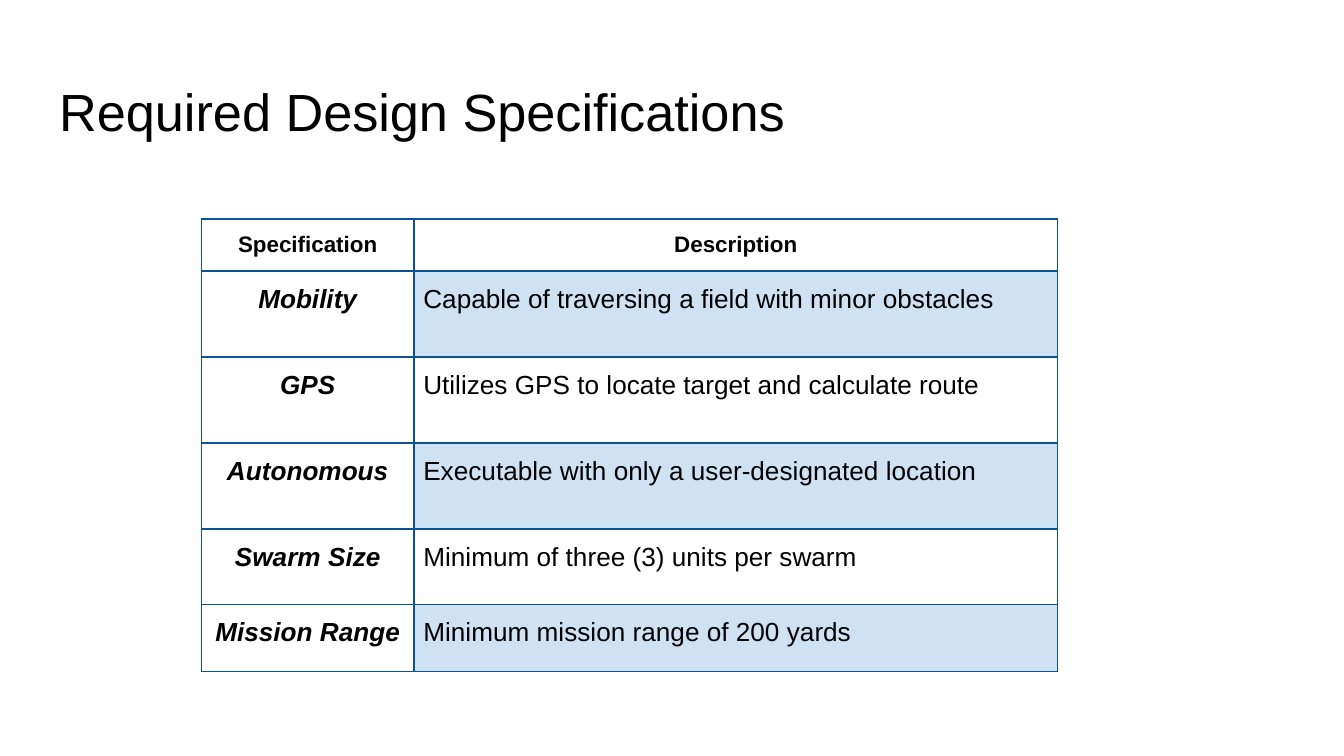
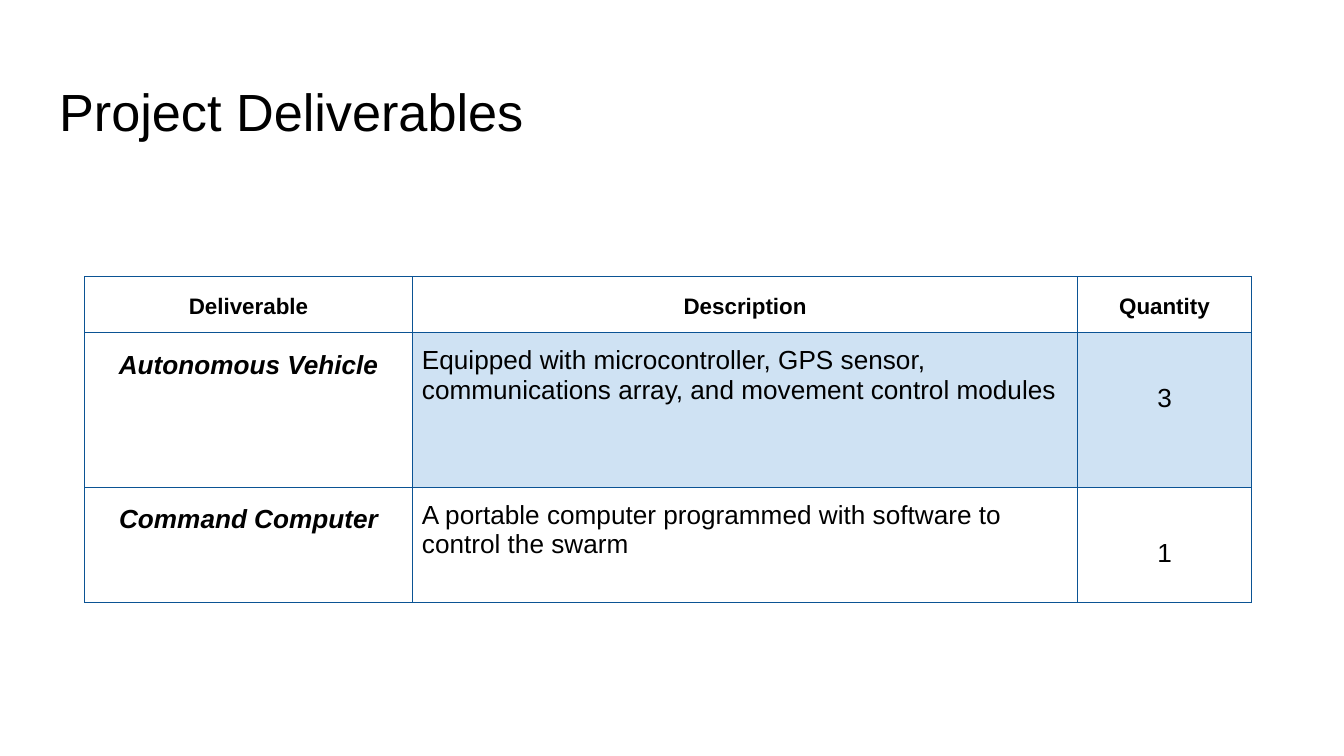
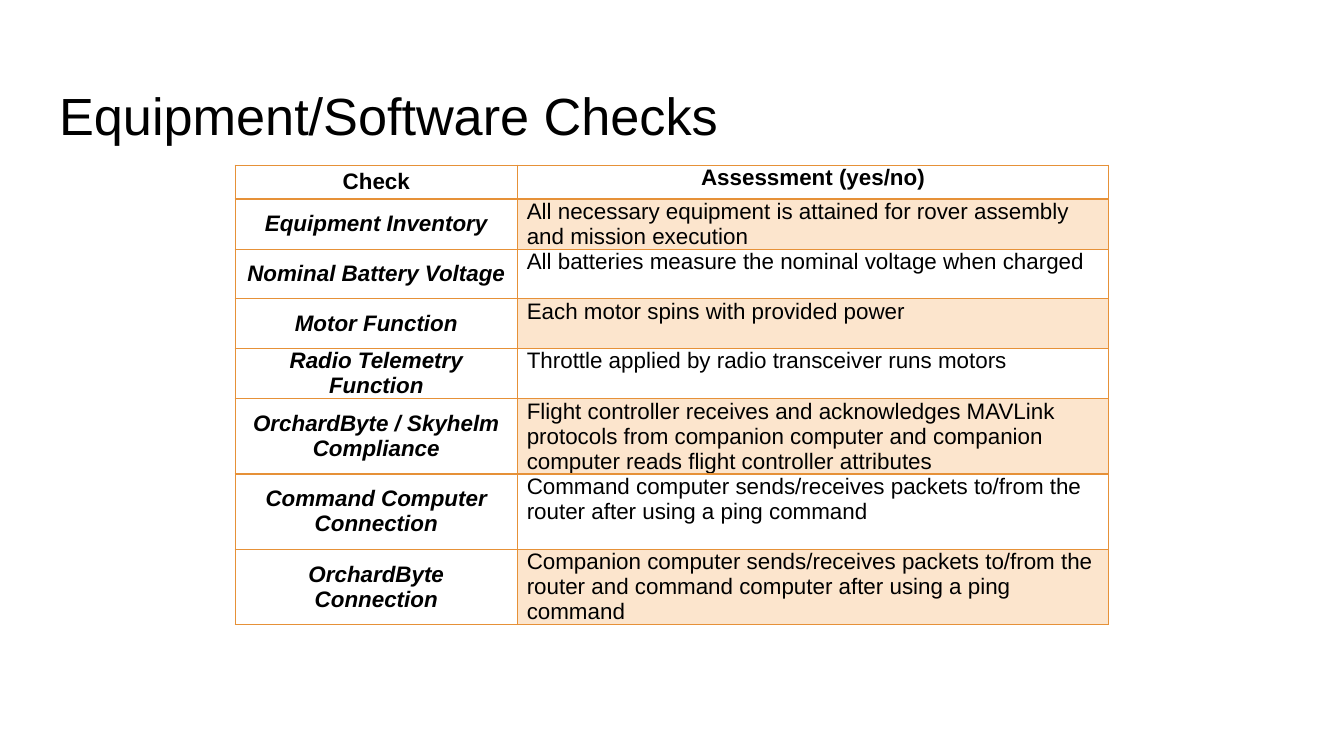
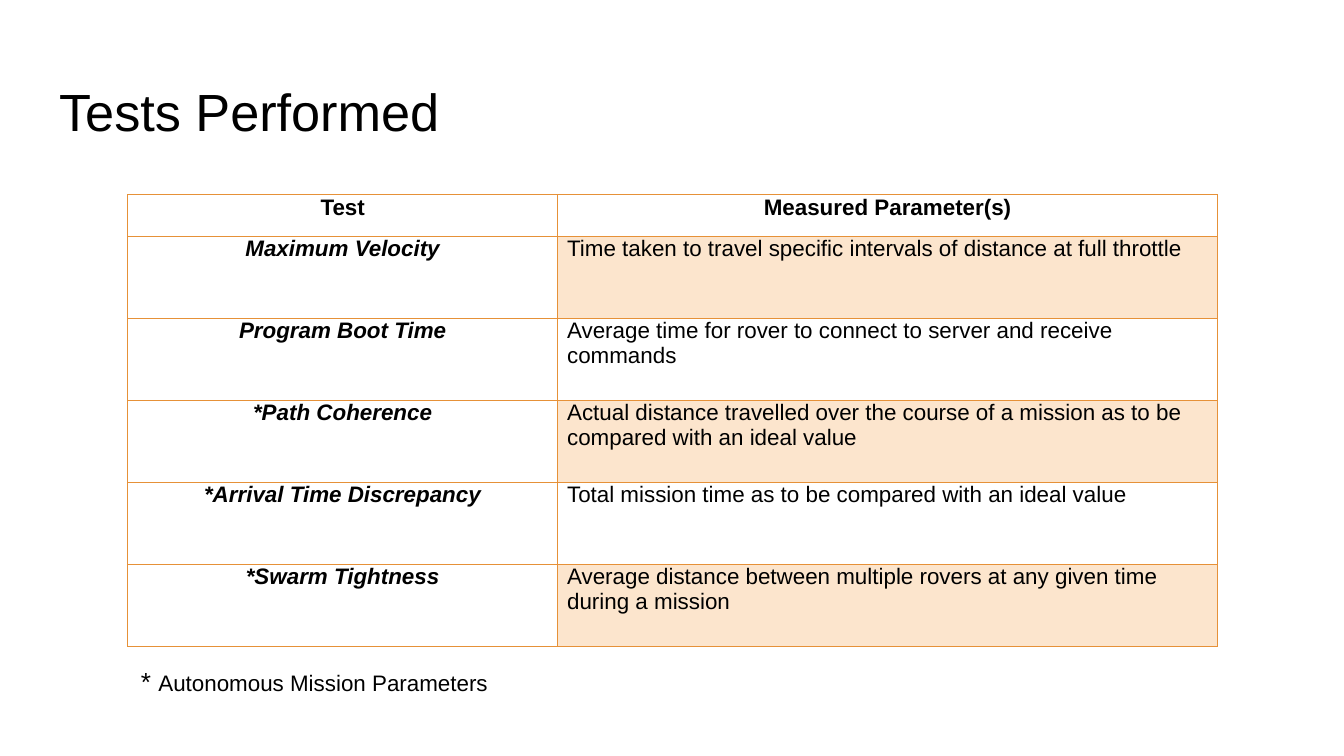
from dataclasses import dataclass
from typing import Any

from lxml.etree import SubElement as Sub
from pptx import Presentation
from pptx.dml.color import RGBColor as Rgb
from pptx.enum.text import MSO_ANCHOR as Anchor, MSO_AUTO_SIZE as Auto, PP_ALIGN as Align
from pptx.oxml.ns import qn
from pptx.util import Inches, Pt

COLORS = {
    "ink": "000000",
    "paper": "FFFFFF",
    "navy": "0B5394",
    "sky": "CFE2F3",
    "orange": "E69138",
    "peach": "FCE5CD",
}
FONT = "Arial"
WIDTH = Inches(10)
HEAD = {"size": Pt(12), "bold": True, "italic": False}


@dataclass
class Grid:
    """A table: its place, its measures and its look."""
    left: float
    top: float
    cols: list[float]
    heights: list[float]
    rows: list[tuple[str, ...]]
    line: str
    band: str
    size: int = 12
    pad: float = 0.0
    space: float = 1.0
    after: int = 0
    mid: bool = False


@dataclass
class Page:
    title: str
    grid: Grid
    top: float = 0.49
    note: str = ""


PAGES = [
    Page("Required Design Specifications", Grid(
        1.5, 1.63, [1.58, 4.79], [0.37, 0.64, 0.64, 0.64, 0.56, 0.5],
        [("Specification", "Description"),
         ("Mobility", "Capable of traversing a field with minor obstacles"),
         ("GPS", "Utilizes GPS to locate target and calculate route"),
         ("Autonomous", "Executable with only a user-designated location"),
         ("Swarm Size", "Minimum of three (3) units per swarm"),
         ("Mission Range", "Minimum mission range of 200 yards")],
        "navy", "sky", size=14, pad=0.1)),
    Page("Project Deliverables", Grid(
        0.63, 2.06, [2.44, 4.95, 1.29], [0.33, 1.15, 0.86],
        [("Deliverable", "Description", "Quantity"),
         ("Autonomous Vehicle",
          "Equipped with microcontroller, GPS sensor, communications array, "
          "and movement control modules", "3"),
         ("Command Computer",
          "A portable computer programmed with software to control the swarm", "1")],
        "navy", "sky", size=14, pad=0.1, space=1.15)),
    Page("Equipment/Software Checks", Grid(
        1.75, 1.23, [2.1, 4.4], [0.25] + [0.37] * 4 + [0.56] * 3,
        [("Check", "Assessment (yes/no)"),
         ("Equipment Inventory",
          "All necessary equipment is attained for rover assembly and mission execution"),
         ("Nominal Battery Voltage",
          "All batteries measure the nominal voltage when charged"),
         ("Motor Function", "Each motor spins with provided power"),
         ("Radio Telemetry Function",
          "Throttle applied by radio transceiver runs motors"),
         ("OrchardByte / Skyhelm Compliance",
          "Flight controller receives and acknowledges MAVLink protocols from companion "
          "computer and companion computer reads flight controller attributes"),
         ("Command Computer Connection",
          "Command computer sends/receives packets to/from the router "
          "after using a ping command"),
         ("OrchardByte Connection",
          "Companion computer sends/receives packets to/from the router "
          "and command computer after using a ping command")],
        "orange", "peach", after=6, mid=True), top=0.52),
    Page("Tests Performed", Grid(
        0.95, 1.45, [3.2, 4.91], [0.31] + [0.61] * 5,
        [("Test", "Measured Parameter(s)"),
         ("Maximum Velocity",
          "Time taken to travel specific intervals of distance at full throttle"),
         ("Program Boot Time",
          "Average time for rover to connect to server and receive commands"),
         ("*Path Coherence",
          "Actual distance travelled over the course of a mission "
          "as to be compared with an ideal value"),
         ("*Arrival Time Discrepancy",
          "Total mission time as to be compared with an ideal value"),
         ("*Swarm Tightness",
          "Average distance between multiple rovers at any given time during a mission")],
        "orange", "peach"), note="Autonomous Mission Parameters"),
]


def assign(target: Any, values: dict[str, Any]) -> None:
    for name, value in values.items():
        setattr(target, name, value)


def style(font: Any, **values: Any) -> None:
    assign(font, {"name": FONT, **values})
    font.color.rgb = Rgb.from_string(COLORS["ink"])


def frame(shape: Any, box: tuple[float, ...]) -> Any:
    """Place a text shape and return its text frame, set to wrap."""
    assign(shape, dict(zip(("left", "top", "width", "height"), map(Inches, box))))
    text = shape.text_frame
    sides = ("margin_left", "margin_top", "margin_right", "margin_bottom")
    assign(text, {"word_wrap": True, "auto_size": Auto.NONE,
                  "vertical_anchor": Anchor.TOP, **dict.fromkeys(sides, Inches(0.1))})
    return text


def edge(cell: Any, color: str) -> None:
    """Draw the four borders; they must come before the cell's fill."""
    props = cell._tc.get_or_add_tcPr()
    for side in ("lnL", "lnR", "lnT", "lnB"):
        line = Sub(props, qn(f"a:{side}"), w=str(Pt(0.75)))
        Sub(Sub(line, qn("a:solidFill")), qn("a:srgbClr"), val=COLORS[color])


def fill_cell(cell: Any, grid: Grid, row: int, col: int) -> None:
    prose = row > 0 and col == 1
    count = row > 0 and col == 2
    shaded = row % 2 == 1 and col > 0
    assign(cell, {
        "margin_left": Inches(0.07), "margin_right": Inches(0.07),
        "margin_top": Inches(0.35 if count else grid.pad),
        "margin_bottom": Inches(grid.pad),
        "vertical_anchor": Anchor.MIDDLE if grid.mid and col == 0 else Anchor.TOP,
    })
    edge(cell, grid.line)
    cell.fill.solid()
    cell.fill.fore_color.rgb = Rgb.from_string(COLORS[grid.band if shaded else "paper"])
    para = cell.text_frame.paragraphs[0]
    assign(para, {
        "text": grid.rows[row][col],
        "alignment": Align.LEFT if prose else Align.CENTER,
        "line_spacing": 1.0 if prose else grid.space,
        "space_after": Pt(grid.after),
    })
    body = {"size": Pt(grid.size), "bold": col == 0, "italic": col == 0}
    style(para.runs[0].font, **(body if row else HEAD))


def add_grid(slide: Any, grid: Grid) -> None:
    table = slide.shapes.add_table(
        len(grid.rows), len(grid.cols), Inches(grid.left), Inches(grid.top),
        Inches(sum(grid.cols)), Inches(sum(grid.heights))).table
    assign(table, {"first_row": False, "horz_banding": False})
    for col, width in zip(table.columns, grid.cols):
        col.width = Inches(width)
    for row, height in zip(table.rows, grid.heights):
        row.height = Inches(height)
    for row, texts in enumerate(grid.rows):
        for col in range(len(texts)):
            fill_cell(table.cell(row, col), grid, row, col)


def add_note(slide: Any, note: str) -> None:
    box = (0.95, 4.85, 8.11, 0.26)
    para = frame(slide.shapes.add_textbox(*map(Inches, box)), box).paragraphs[0]
    for text, size in (("* ", 14), (note, 12)):
        run = para.add_run()
        run.text = text
        style(run.font, size=Pt(size))


def add_page(deck: Any, page: Page) -> None:
    slide = deck.slides.add_slide(deck.slide_layouts[5])
    para = frame(slide.shapes.title, (0.34, page.top, 9.32, 0.63)).paragraphs[0]
    assign(para, {"text": page.title, "alignment": Align.LEFT})
    style(para.runs[0].font, size=Pt(28))
    add_grid(slide, page.grid)
    if page.note:
        add_note(slide, page.note)


def main() -> None:
    deck = Presentation()
    assign(deck, {"slide_width": WIDTH, "slide_height": WIDTH * 9 // 16})
    for page in PAGES:
        add_page(deck, page)
    deck.save("out.pptx")


if __name__ == "__main__":
    main()
